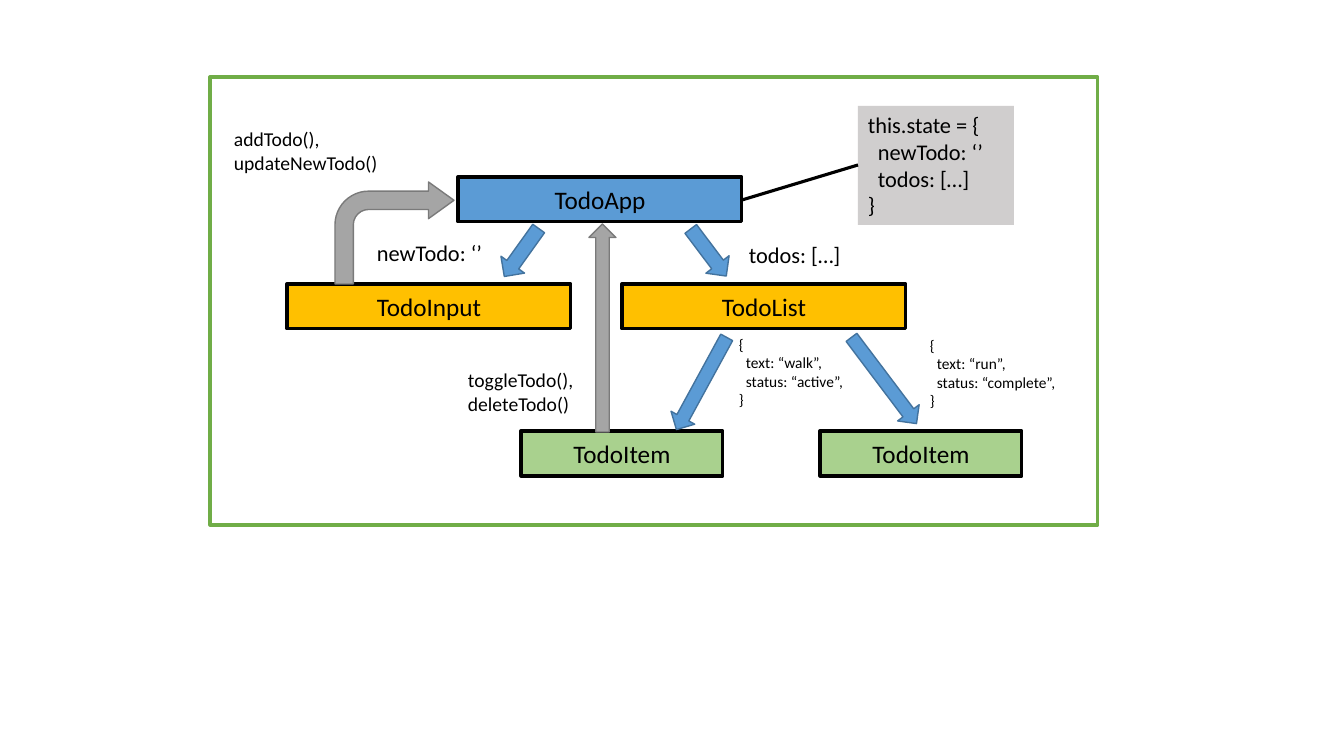
from dataclasses import dataclass

from lxml.etree import SubElement
from pptx import Presentation
from pptx.dml.color import RGBColor
from pptx.enum.shapes import MSO_CONNECTOR, MSO_SHAPE
from pptx.enum.text import MSO_ANCHOR, MSO_AUTO_SIZE, PP_ALIGN
from pptx.oxml.ns import qn
from pptx.util import Emu, Pt

SCALE = 914400 / 100.8
BLACK, WHITE, GREEN = "000000", "FFFFFF", "70AD47"
BLUE, BLUE_EDGE = "5B9BD5", "43739E"
GRAY, GRAY_EDGE = "A5A5A5", "7A7A7A"
AMBER, LIME, SILVER = "FFC000", "A9D18E", "D0CECE"
BOX_H = 45
WIDE, NARROW = 284, 202


@dataclass
class Component:
    name: str
    x: int
    y: int
    w: int
    fill: str


@dataclass
class Arrow:
    kind: MSO_SHAPE
    x: int
    y: int
    w: int
    h: int
    fill: str
    edge: str
    rotation: float = 0
    adjustments: tuple[float, ...] = ()


@dataclass
class Label:
    x: int
    y: int
    w: int
    h: int
    size: int
    lines: tuple[str, ...]
    indent: int = 0
    fill: str | None = None


COMPONENTS = [
    Component("TodoApp", 458, 177, WIDE, BLUE),
    Component("TodoInput", 287, 284, WIDE, AMBER),
    Component("TodoList", 622, 284, WIDE, AMBER),
    Component("TodoItem", 521, 431, NARROW, LIME),
    Component("TodoItem", 820, 431, NARROW, LIME),
]
ARROWS = [
    Arrow(MSO_SHAPE.RIGHT_ARROW, 830, 367, 108, 27, BLUE, BLUE_EDGE, 53),
    Arrow(MSO_SHAPE.RIGHT_ARROW, 649, 370, 105, 27, BLUE, BLUE_EDGE, 118.6),
    Arrow(MSO_SHAPE.RIGHT_ARROW, 679, 238, 59, 29, BLUE, BLUE_EDGE, 53),
    Arrow(MSO_SHAPE.RIGHT_ARROW, 492, 238, 59, 29, BLUE, BLUE_EDGE, 125.6),
    Arrow(MSO_SHAPE.BENT_ARROW, 335, 182, 119, 102, GRAY, GRAY_EDGE,
          adjustments=(0.18, 0.18, 0.25, 0.33)),
    Arrow(MSO_SHAPE.UP_ARROW, 589, 224, 27, 208, GRAY, GRAY_EDGE),
]
LABELS = [
    Label(729, 330, 129, 85, 11, ("{", "text: “walk”,", "status: “active”,", "}"), 7),
    Label(920, 331, 154, 85, 11, ("{", "text: “run”,", "status: “complete”,", "}"), 7),
    Label(858, 106, 156, 119, 16,
          ("this.state = {", "newTodo: ‘’", "todos: […]", "}"), 10, SILVER),
    Label(739, 236, 154, 37, 16, ("todos: […]",)),
    Label(367, 234, 154, 37, 16, ("newTodo: ‘’",)),
    Label(458, 363, 168, 57, 14, ("toggleTodo(),", "deleteTodo()")),
    Label(224, 122, 168, 57, 14, ("addTodo(),", "updateNewTodo()")),
]


def px(value: int) -> Emu:
    return Emu(round(value * SCALE))


def rgb(color: str) -> RGBColor:
    return RGBColor.from_string(color)


def add_box(s, kind, x: int, y: int, w: int, h: int, fill: str,
            edge: str | None = None, width: float = 1):
    sp = s.shapes.add_shape(kind, px(x), px(y), px(w), px(h))
    sp.shadow.inherit = False
    sp.fill.solid()
    sp.fill.fore_color.rgb = rgb(fill)
    if edge:
        sp.line.color.rgb = rgb(edge)
        sp.line.width = Pt(width)
    else:
        sp.line.fill.background()
    return sp


def add_run(p, text: str, size: int) -> None:
    r = p.add_run()
    r.text = text
    r.font.name = "Calibri"
    r.font.size = Pt(size)
    r.font.color.rgb = rgb(BLACK)


def add_component(s, item: Component) -> None:
    sp = add_box(s, MSO_SHAPE.RECTANGLE, item.x, item.y, item.w, BOX_H,
                 item.fill, BLACK, 2.25)
    tf = sp.text_frame
    tf.vertical_anchor = MSO_ANCHOR.MIDDLE
    p = tf.paragraphs[0]
    p.alignment = PP_ALIGN.CENTER
    add_run(p, item.name, 18)


def add_arrow(s, item: Arrow) -> None:
    sp = add_box(s, item.kind, item.x, item.y, item.w, item.h, item.fill, item.edge)
    sp.rotation = item.rotation
    for i, value in enumerate(item.adjustments):
        sp.adjustments[i] = value


def add_label(s, item: Label) -> None:
    if item.fill:
        sp = add_box(s, MSO_SHAPE.RECTANGLE, item.x, item.y, item.w, item.h, item.fill)
    else:
        sp = s.shapes.add_textbox(px(item.x), px(item.y), px(item.w), px(item.h))
    tf = sp.text_frame
    tf.word_wrap = True
    tf.auto_size = MSO_AUTO_SIZE.SHAPE_TO_FIT_TEXT
    tf.vertical_anchor = MSO_ANCHOR.TOP
    for i, text in enumerate(item.lines):
        p = tf.add_paragraph() if i else tf.paragraphs[0]
        p.alignment = PP_ALIGN.LEFT
        if item.indent and 0 < i < len(item.lines) - 1:
            p._p.get_or_add_pPr().set("marL", str(px(item.indent)))
        add_run(p, text, item.size)


def add_line(s, x1: int, y1: int, x2: int, y2: int) -> None:
    cn = s.shapes.add_connector(MSO_CONNECTOR.STRAIGHT, px(x1), px(y1), px(x2), px(y2))
    cn.line.color.rgb = rgb(BLACK)
    cn.line.width = Pt(2.25)
    SubElement(cn._element.spPr, qn("a:effectLst"))


def main() -> None:
    """Build the slide showing how data and callbacks flow in a todo app."""
    prs = Presentation()
    prs.slide_width, prs.slide_height = px(1344), px(756)
    s = prs.slides.add_slide(prs.slide_layouts[6])
    add_box(s, MSO_SHAPE.RECTANGLE, 210, 77, 888, 448, WHITE, GREEN, 2.25)
    for component in COMPONENTS:
        add_component(s, component)
    for arrow in ARROWS:
        add_arrow(s, arrow)
    for label in LABELS:
        add_label(s, label)
    add_line(s, 858, 165, 742, 200)
    prs.save("out.pptx")


main()
